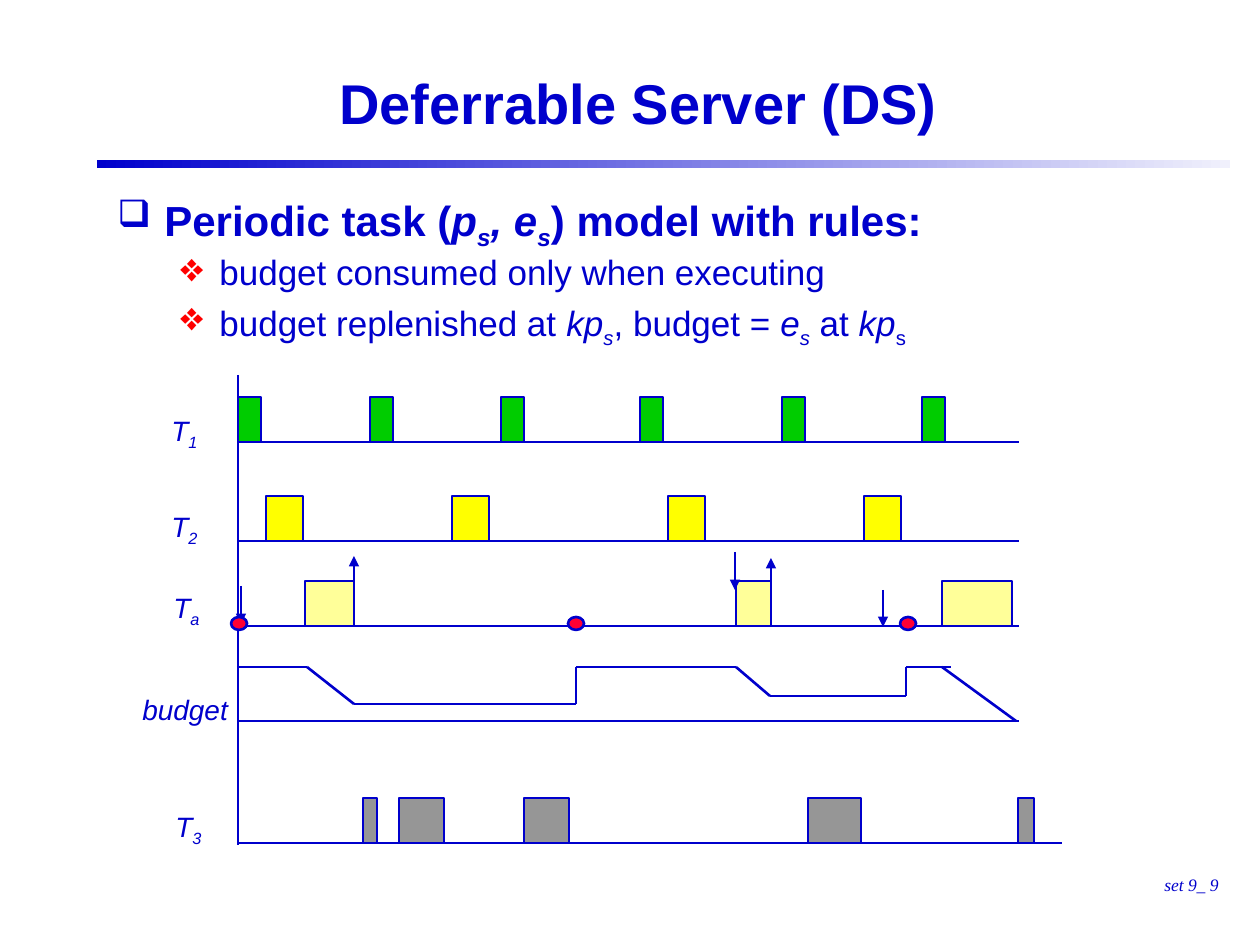
from itertools import pairwise
from lxml.etree import SubElement
from pptx import Presentation
from pptx.dml.color import RGBColor
from pptx.enum.shapes import MSO_CONNECTOR as Connector, MSO_SHAPE as Shape
from pptx.enum.text import MSO_ANCHOR as Anchor, MSO_AUTO_SIZE as AutoSize, PP_ALIGN as Align
from pptx.oxml.ns import qn
from pptx.util import Emu, Pt

PX = 914400 / 126
BLUE, RED = "0000CC", "FF0000"

TITLE = "Deferrable Server (DS)"
FOOTER = "set 9_ 9"
RULES = [
    (0, [("Periodic task (", ""), ("p", "i"), ("s", "is"), (", e", "i"), ("s", "is"),
         (") model with rules:", "")]),
    (1, [("budget consumed only when executing", "")]),
    (1, [("budget replenished at ", ""), ("kp", "i"), ("s", "is"), (", budget = ", ""),
         ("e", "i"), ("s", "is"), (" at ", ""), ("kp", "i"), ("s", "s")]),
]
LEVELS = [
    dict(size=24, bold=True, bullet="❑", bullet_color=BLUE, bullet_size=90,
         before=6, margin=47, hang=47),
    dict(size=20, bold=False, bullet="❖", bullet_color=RED, bullet_size=115,
         before=5, margin=102, hang=39),
]
BAR_HEIGHT = 45
TASKS = [
    ("00CC00", 442, 238, 1019, [(x, 23) for x in (238, 370, 501, 640, 782, 922)]),
    ("FFFF00", 541, 238, 1019, [(x, 37) for x in (266, 452, 668, 864)]),
    ("FFFF99", 626, 238, 1019, [(305, 49), (736, 35), (942, 70)]),
    ("969696", 843, 239, 1062, [(363, 14), (399, 45), (524, 45), (808, 53), (1018, 16)]),
]
LABELS = [
    ("T", "1", 159, 408, 60, 52, 6),
    ("T", "2", 159, 510, 60, 38, 0),
    ("T", "a", 161, 591, 60, 38, 0),
    ("T", "3", 163, 810, 60, 38, 0),
    ("budget", "", 130, 687, 114, 47, 6),
]
TIME_AXIS = [(238, 375), (238, 845)]
BUDGET_AXIS = [(238, 721), (1019, 721)]
BUDGET = [(237, 667), (307, 667), (354, 704), (576, 704), (576, 667), (736, 667),
          (770, 696), (906, 696), (906, 667), (951, 667)]
LAST_DRAIN = [(942, 667), (1016, 721)]
ARROWS = [(241, 586, 624), (354, 581, 556), (735, 552, 590), (771, 583, 558), (883, 590, 627)]
REPLENISHMENTS = [231, 568, 900]


def color(value):
    return RGBColor.from_string(value)


def px(*values):
    return [Emu(round(value * PX)) for value in values]


def add_span(para, text, size, style="", bold=False, font="Arial"):
    span = para.add_run()
    span.text = text
    span.font.name = font
    span.font.size = Pt(size)
    span.font.bold = bold
    span.font.italic = "i" in style
    span.font.color.rgb = color(BLUE)
    if "s" in style:
        span._r.get_or_add_rPr().set("baseline", "-25000")


def add_text(x, y, width, height, wrap=True, anchor=Anchor.TOP):
    frame = page.shapes.add_textbox(*px(x, y, width, height)).text_frame
    frame.word_wrap = wrap
    frame.vertical_anchor = anchor
    return frame


def add_bullet(para, level):
    props = para._p.get_or_add_pPr()
    margin, indent = px(level["margin"], -level["hang"])
    props.set("marL", str(int(margin)))
    props.set("indent", str(int(indent)))
    tint = SubElement(props, qn("a:buClr"))
    SubElement(tint, qn("a:srgbClr"), val=level["bullet_color"])
    SubElement(props, qn("a:buSzPct"), val=str(level["bullet_size"] * 1000))
    SubElement(props, qn("a:buChar"), char=level["bullet"])


def add_shape(kind, x, y, width, height, fill):
    shape = page.shapes.add_shape(kind, *px(x, y, width, height))
    shape.shadow.inherit = False
    shape.fill.solid()
    shape.fill.fore_color.rgb = color(fill)
    shape.line.color.rgb = color(BLUE)
    shape.line.width = Pt(1.5)
    return shape


def add_line(start, end, arrow=False):
    line = page.shapes.add_connector(Connector.STRAIGHT, *px(*start, *end))
    line.line.color.rgb = color(BLUE)
    line.line.width = Pt(1.5)
    if arrow:
        SubElement(line.line._get_or_add_ln(), qn("a:tailEnd"), type="triangle")
    SubElement(line._element.spPr, qn("a:effectLst"))


deck = Presentation()
deck.slide_width, deck.slide_height = px(1260, 945)
page = deck.slides.add_slide(deck.slide_layouts[6])

band = add_shape(Shape.RECTANGLE, 97, 160, 1133, 8, BLUE)
band.line.fill.background()
band.fill.gradient()
band.fill.gradient_angle = 0
for stop, tint, position in zip(band.fill.gradient_stops, (BLUE, "F0F0FC"), (0, 1)):
    stop.color.rgb = color(tint)
    stop.position = position

para = add_text(1115, 853, 116, 63, False, Anchor.MIDDLE).paragraphs[0]
para.alignment = Align.RIGHT
add_span(para, FOOTER, 10, "i", font="Times New Roman")

para = add_text(108, 39, 1061, 126, True, Anchor.MIDDLE).paragraphs[0]
para.alignment = Align.CENTER
add_span(para, TITLE, 32, bold=True)

body = add_text(105, 189, 1081, 661)
for index, (depth, spans) in enumerate(RULES):
    level = LEVELS[depth]
    para = body.add_paragraph() if index else body.paragraphs[0]
    para.level = depth
    para.line_spacing = 0.9
    para.space_before = Pt(level["before"])
    add_bullet(para, level)
    for text, style in spans:
        add_span(para, text, level["size"], style, level["bold"])

add_line(*TIME_AXIS)
for fill, base, start, end, bars in TASKS:
    add_line((start, base), (end, base))
    for x, width in bars:
        add_shape(Shape.RECTANGLE, x, base - BAR_HEIGHT, width, BAR_HEIGHT, fill)

add_line(*BUDGET_AXIS)
for start, end in [*pairwise(BUDGET), LAST_DRAIN]:
    add_line(start, end)

for x, start, end in ARROWS:
    add_line((x, start), (x, end), arrow=True)
for x in REPLENISHMENTS:
    add_shape(Shape.OVAL, x, 617, 16, 13, "FF0033")

for name, subscript, x, y, width, height, inset in LABELS:
    frame = add_text(x, y, width, height, wrap=False)
    frame.auto_size = AutoSize.NONE
    frame.margin_top = frame.margin_bottom = px(inset)[0]
    para = frame.paragraphs[0]
    para.alignment = Align.LEFT
    add_span(para, name, 16, "i")
    if subscript:
        add_span(para, subscript, 16, "is")

deck.save("out.pptx")
